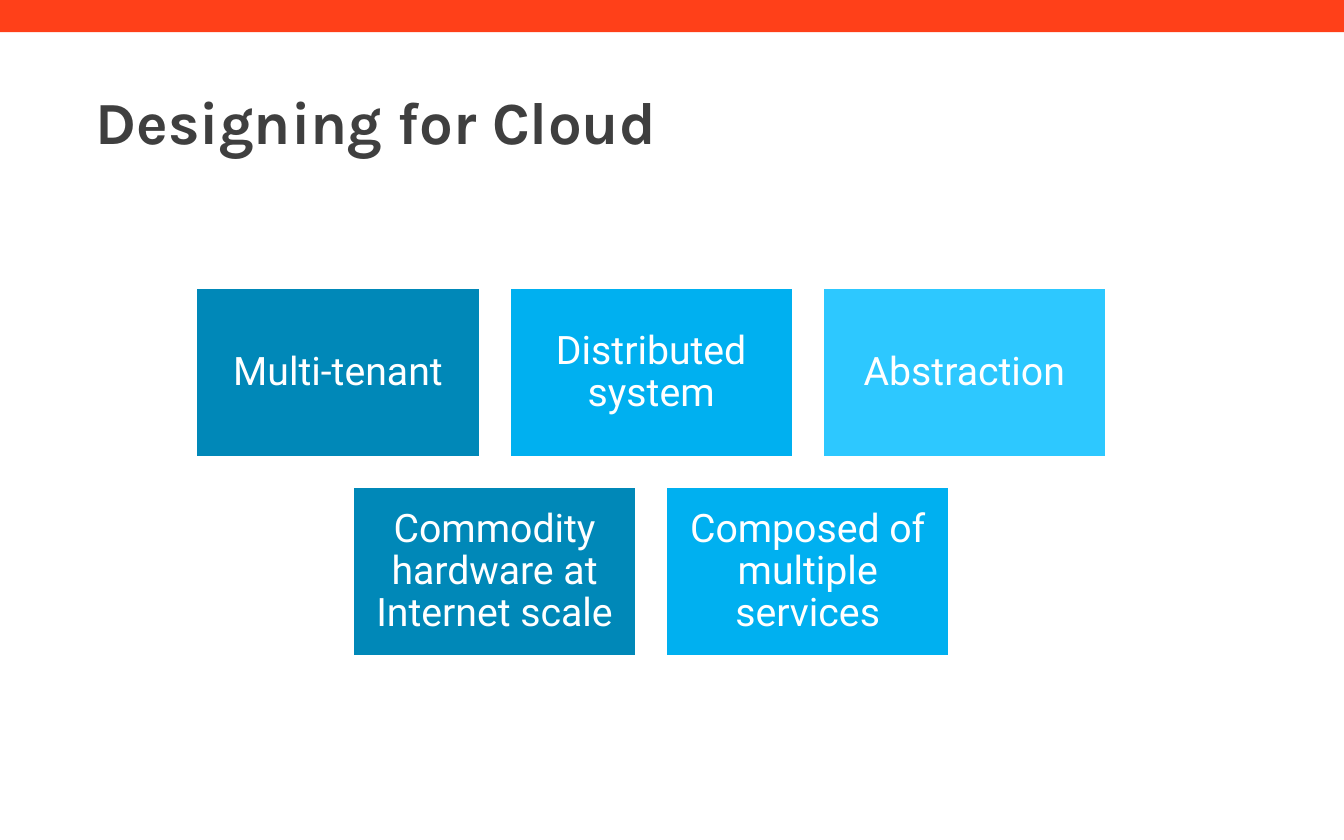
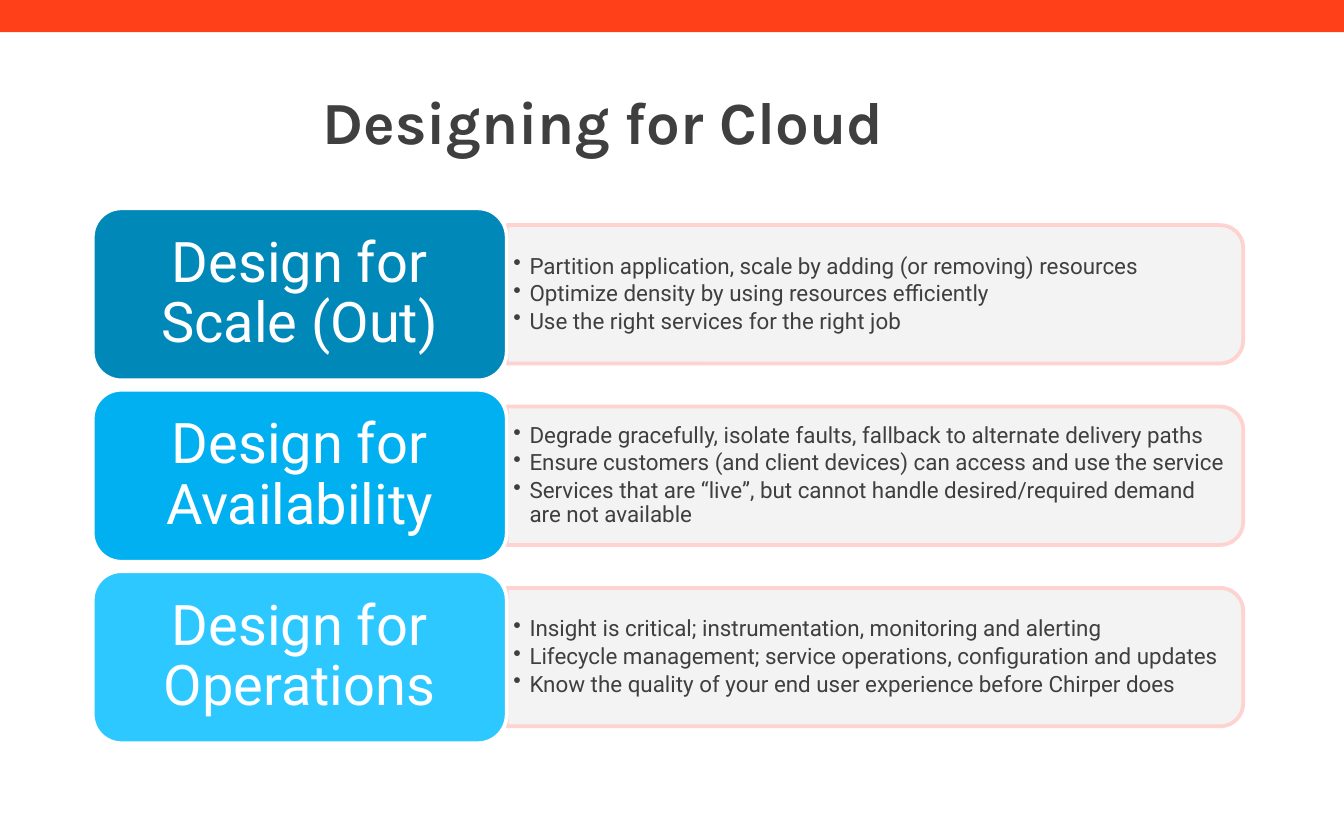
from lxml import etree
from pptx import Presentation
from pptx.dml.color import RGBColor
from pptx.enum.shapes import MSO_SHAPE
from pptx.enum.text import MSO_ANCHOR, PP_ALIGN
from pptx.oxml.ns import qn
from pptx.util import Inches, Pt

RECTANGLE = MSO_SHAPE.RECTANGLE
ROUNDED = MSO_SHAPE.ROUNDED_RECTANGLE
ROUND_TOP = MSO_SHAPE.ROUND_2_SAME_RECTANGLE
MIDDLE = MSO_ANCHOR.MIDDLE
CENTER = PP_ALIGN.CENTER
LEFT = PP_ALIGN.LEFT

TITLE = "Designing for Cloud"
TITLE_FONT, BODY_FONT = "Karla", "Roboto"
BAND, INK, WHITE = "FF4019", "3F3F3F", "FFFFFF"
PANEL, PANEL_EDGE = "F2F2F2", "FFCFCC"
BLUES = ["0088B8", "00B0F0", "2DC8FF"]
SLIDE_WIDTH, SLIDE_HEIGHT = 10, 6.25

TRAIT_ROWS = [
    ["Multi-tenant", "Distributed system", "Abstraction"],
    ["Commodity hardware at Internet scale", "Composed of multiple services"],
]

PRINCIPLES = [
    ("Design for Scale (Out)", [
        "Partition application, scale by adding (or removing) resources",
        "Optimize density by using resources efficiently",
        "Use the right services for the right job",
    ]),
    ("Design for Availability", [
        "Degrade gracefully, isolate faults, fallback to alternate delivery paths",
        "Ensure customers (and client devices) can access and use the service",
        "Services that are “live”, but cannot handle desired/required demand are not available",
    ]),
    ("Design for Operations", [
        "Insight is critical; instrumentation, monitoring and alerting",
        "Lifecycle management; service operations, configuration and updates",
        "Know the quality of your end user experience before Chirper does",
    ]),
]


def color(value):
    return RGBColor.from_string(value)


def add_box(slide, kind, left, top, width, height, fill, line=None):
    shape = slide.shapes.add_shape(
        kind, Inches(left), Inches(top), Inches(width), Inches(height))
    shape.shadow.inherit = False
    shape.fill.solid()
    shape.fill.fore_color.rgb = color(fill)
    if line:
        shape.line.color.rgb = color(line)
        shape.line.width = Pt(2)
    else:
        shape.line.fill.background()
    return shape


def add_text_box(slide, left, top, width, height):
    return slide.shapes.add_textbox(
        Inches(left), Inches(top), Inches(width), Inches(height))


def set_opacity(shape, percent):
    for fill in shape._element.spPr.iter(qn("a:srgbClr")):
        etree.SubElement(fill, qn("a:alpha"), val=str(percent * 1000))


def add_bullet(paragraph, indent):
    properties = paragraph._p.get_or_add_pPr()
    properties.set("marL", str(Inches(indent)))
    properties.set("indent", str(-Inches(indent)))
    etree.SubElement(properties, qn("a:buChar"), char="•")


def write(shape, lines, size, ink, margins=(0, 0), font=BODY_FONT, bold=False,
          align=CENTER, spacing=0.9, after=0, bullet_indent=None):
    frame = shape.text_frame
    frame.word_wrap = True
    frame.vertical_anchor = MIDDLE
    frame.margin_left = frame.margin_right = Inches(margins[0])
    frame.margin_top = frame.margin_bottom = Inches(margins[1])
    for index, line in enumerate(lines):
        paragraph = frame.add_paragraph() if index else frame.paragraphs[0]
        paragraph.text = line
        paragraph.alignment = align
        paragraph.line_spacing = spacing
        paragraph.space_after = Pt(size * after)
        if bullet_indent:
            add_bullet(paragraph, bullet_indent)
        paragraph.font.name = font
        paragraph.font.size = Pt(size)
        paragraph.font.bold = bold
        paragraph.font.color.rgb = color(ink)


def add_base_slide(presentation, title_shift=0):
    slide = presentation.slides.add_slide(presentation.slide_layouts[6])
    add_box(slide, RECTANGLE, 0, 0, SLIDE_WIDTH, 0.24, BAND)
    title = add_text_box(slide, 0.71 + title_shift, 0.63, 7.48 - title_shift, 0.54)
    write(title, [TITLE], 32, INK, font=TITLE_FONT, bold=True, align=LEFT, spacing=1)
    return slide


def add_traits(slide):
    width, height, gap = 2.12, 1.27, 0.21
    center, first_top = 4.845, 2.14
    for row, traits in enumerate(TRAIT_ROWS):
        row_width = len(traits) * (width + gap) - gap
        top = first_top + row * (height + gap)
        for column, trait in enumerate(traits):
            left = center - row_width / 2 + column * (width + gap)
            box = add_box(slide, RECTANGLE, left, top, width, height,
                          BLUES[column], WHITE)
            write(box, [trait], 21, WHITE, (0.09, 0.09), after=0.35)


def add_principles(slide):
    left, first_top, width, height, pitch = 0.69, 1.55, 3.08, 1.28, 1.35
    panel_length, panel_height = 5.48, 1.03
    panel_left = left + width
    for index, (heading, points) in enumerate(PRINCIPLES):
        top = first_top + index * pitch
        middle = top + height / 2
        panel = add_box(slide, ROUND_TOP,
                        panel_left + (panel_length - panel_height) / 2,
                        middle - panel_length / 2,
                        panel_height, panel_length, PANEL, PANEL_EDGE)
        panel.rotation = 90
        set_opacity(panel, 90)
        text = add_text_box(slide, panel_left, middle - 0.465, 5.43, 0.93)
        write(text, points, 12, INK, (0.05, 0.03), align=LEFT, after=0.15,
              bullet_indent=0.12)
        label = add_box(slide, ROUNDED, left, top, width, height,
                        BLUES[index], WHITE)
        write(label, [heading], 30, WHITE, (0.12, 0.06), after=0.35)


def main():
    presentation = Presentation()
    presentation.slide_width = Inches(SLIDE_WIDTH)
    presentation.slide_height = Inches(SLIDE_HEIGHT)
    add_traits(add_base_slide(presentation))
    add_principles(add_base_slide(presentation, title_shift=1.69))
    presentation.save("out.pptx")


if __name__ == "__main__":
    main()
